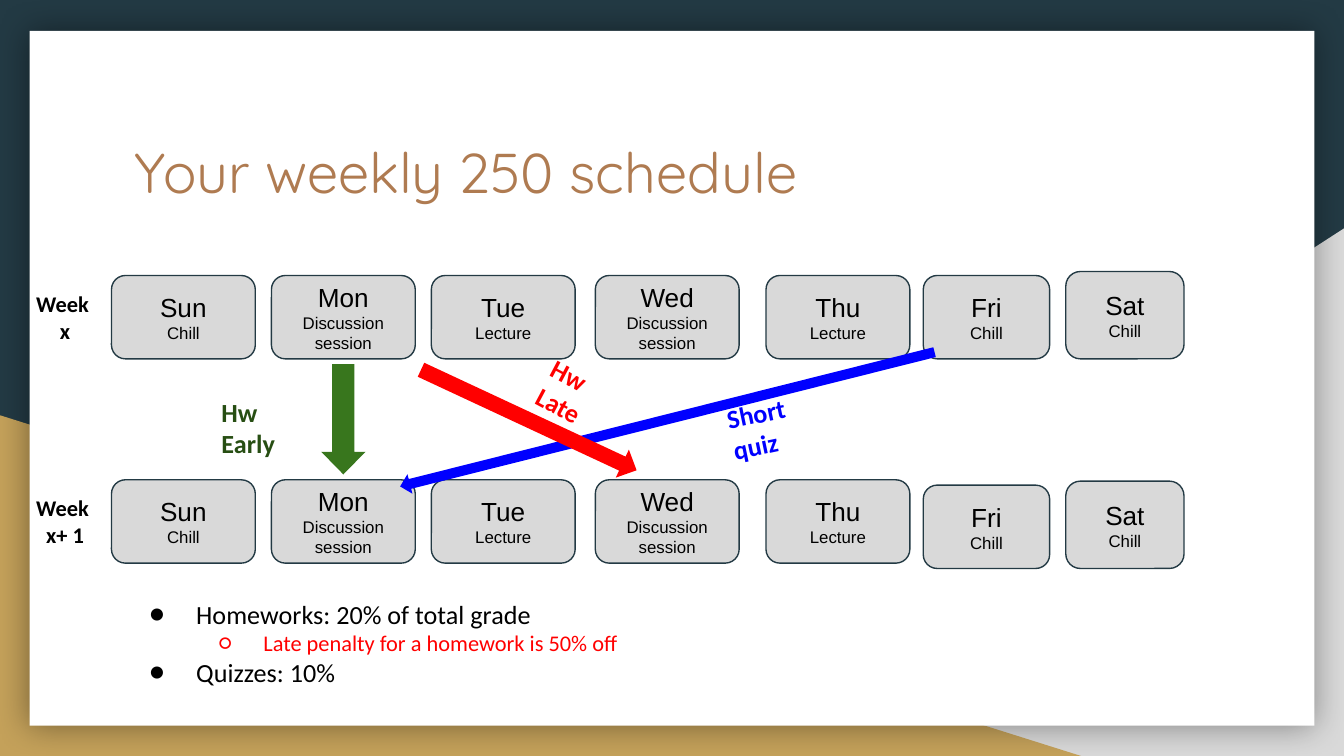
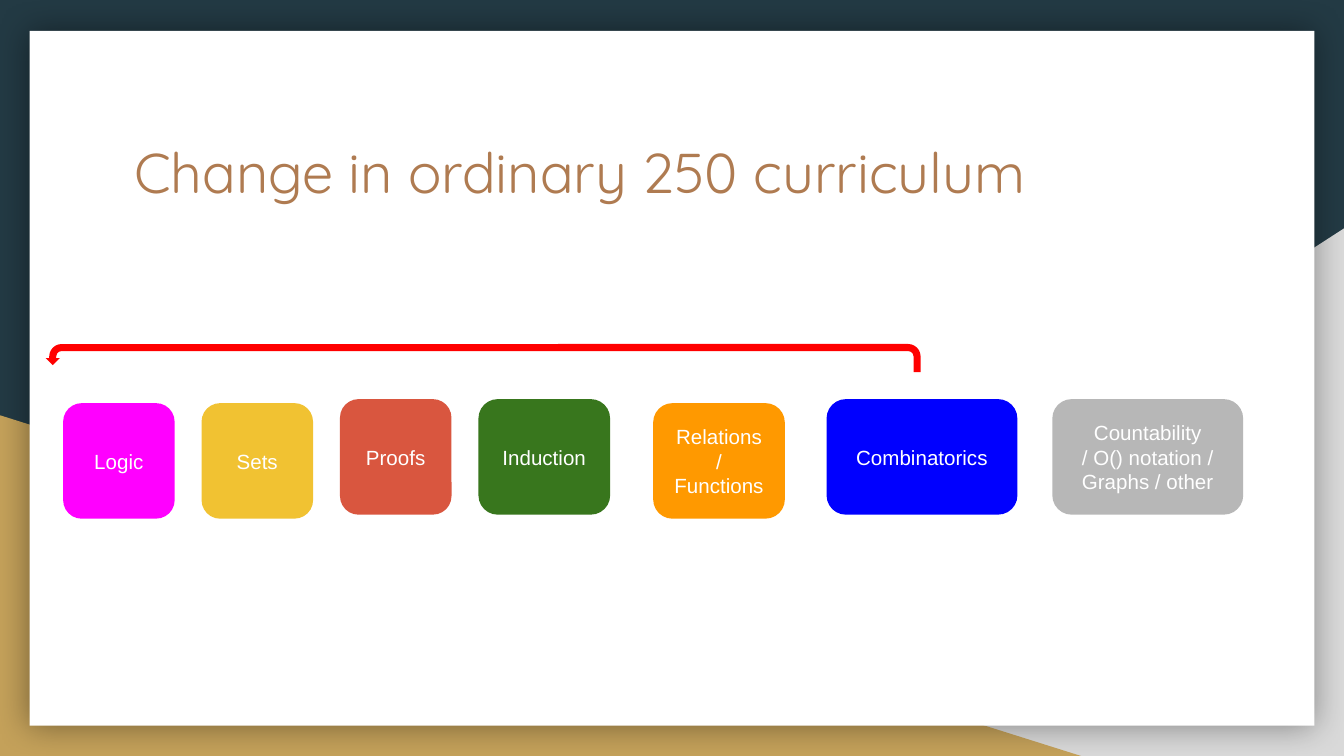
from lxml.etree import SubElement
from pptx import Presentation
from pptx.dml.color import RGBColor
from pptx.enum.shapes import MSO_SHAPE
from pptx.enum.text import MSO_ANCHOR, MSO_AUTO_SIZE, PP_ALIGN
from pptx.oxml.ns import qn
from pptx.util import Inches, Pt

HUES = {
    "navy": "233A44", "silver": "D9D9D9", "gold": "C4A15A", "white": "FFFFFF",
    "black": "000000", "brown": "AF7B51", "green": "38761D", "forest": "274E13",
    "blue": "0000FF", "red": "FF0000", "pink": "FF00FF", "yellow": "F1C232",
    "coral": "D9563F", "orange": "FF9900", "grey": "B7B7B7",
}
RGB = {name: RGBColor.from_string(code) for name, code in HUES.items()}


def draw(slide, kind, box, fill, line=None, flip=False, turn=0, adjust=()):
    """Add a flat preset shape; box is left, top, width, height in inches."""
    shape = slide.shapes.add_shape(kind, *map(Inches, box))
    shape.shadow.inherit = False
    shape.fill.solid()
    shape.fill.fore_color.rgb = RGB[fill]
    if line:
        shape.line.color.rgb = RGB[line]
        shape.line.width = Pt(0.75)
    else:
        shape.line.fill.background()
    if flip:
        shape.element.spPr.find(qn("a:xfrm")).set("flipH", "1")
    shape.rotation = turn
    for i, value in enumerate(adjust):
        shape.adjustments[i] = value
    return shape


def write(shape, text, face, sizes, color, bold=False, align=PP_ALIGN.LEFT,
          anchor=MSO_ANCHOR.TOP):
    """Fill a shape with text; the last size serves all further paragraphs."""
    frame = shape.text_frame
    frame.text = text
    frame.word_wrap = True
    frame.auto_size = MSO_AUTO_SIZE.NONE
    frame.vertical_anchor = anchor
    frame.margin_left = frame.margin_right = Inches(0.1)
    frame.margin_top = frame.margin_bottom = Inches(0.1)
    for i, para in enumerate(frame.paragraphs):
        para.alignment = align
        para.space_before = Pt(0)
        for run in para.runs:
            run.font.name = face
            run.font.size = Pt(sizes[min(i, len(sizes) - 1)])
            run.font.bold = bold
            run.font.color.rgb = RGB[color]


deck = Presentation()
deck.slide_width, deck.slide_height = Inches(10), Inches(10 * 9 / 16)
week = deck.slides.add_slide(deck.slide_layouts[1])
topics = deck.slides.add_slide(deck.slide_layouts[5])

# Shared backdrop, moved to the master
master = deck.slide_master
master.background.fill.solid()
master.background.fill.fore_color.rgb = RGB["navy"]
right = draw(week, MSO_SHAPE.RIGHT_TRIANGLE, (3.92, 1.7, 6.08, 3.93), "silver", flip=True)
left = draw(week, MSO_SHAPE.RIGHT_TRIANGLE, (0, 3.09, 8.06, 2.54), "gold")
card = draw(week, MSO_SHAPE.RECTANGLE, (0.22, 0.23, 9.56, 5.17), "white")
glow = SubElement(card.element.spPr.find(qn("a:effectLst")), qn("a:outerShdw"),
                  blurRad=str(Pt(18)), dist="0", dir="0", rotWithShape="0")
shade = SubElement(glow, qn("a:srgbClr"), val=HUES["black"])
SubElement(shade, qn("a:alpha"), val="40000")
for i, shape in enumerate((right, left, card)):
    master.shapes.element.insert(2 + i, shape.element)

# Titles
for slide, text in ((week, "Your weekly 250 schedule"),
                    (topics, "Change in ordinary 250 curriculum")):
    title = slide.shapes.title
    title.left, title.top, title.width, title.height = map(Inches, (0.9, 0.92, 8.21, 1.04))
    write(title, text, "Quicksand", [30], "brown")

# Weekly schedule: day, event, left, width
days = [
    ("Sun", "Chill", 0.83, 1.07),
    ("Mon", "Discussion session", 2.02, 1.07),
    ("Tue", "Lecture", 3.21, 1.07),
    ("Wed", "Discussion session", 4.43, 1.07),
    ("Thu", "Lecture", 5.7, 1.07),
    ("Fri", "Chill", 6.87, 0.94),
    ("Sat", "Chill", 7.93, 0.88),
]
for label, top, late in (("Week\n x", 2.05, 2.05), ("Week\n x+ 1", 3.57, 3.61)):
    for day, event, x, wide in days:
        y, high = (late if day == "Fri" else top), 0.62
        if day == "Sat":
            y, high = late - 0.03, 0.65
        box = draw(week, MSO_SHAPE.ROUNDED_RECTANGLE, (x, y, wide, high), "silver", "navy")
        write(box, f"{day}\n{event}", "Arial", [14, 9], "black",
              align=PP_ALIGN.CENTER, anchor=MSO_ANCHOR.MIDDLE)
    tag = week.shapes.add_textbox(*map(Inches, (0.12, top + 0.01, 0.69, 0.61)))
    write(tag, label, "Calibri", [12], "black", bold=True, align=PP_ALIGN.CENTER)

for box, turn, head, color in (
    ((2.39, 2.71, 0.33, 0.82), 0, 0.51, "green"),
    ((4.89, 1.07, 0.15, 4.1), 75.9, 0.5, "blue"),
    ((3.82, 2.24, 0.23, 1.77), 295, 0.51, "red"),
):
    draw(week, MSO_SHAPE.DOWN_ARROW, box, color, turn=turn, adjust=(0.5, head))

for text, x, y, wide, turn, color in (
    ("Hw Early", 1.55, 2.85, 0.6, 0, "forest"),
    ("Hw Late", 3.94, 2.59, 0.6, 28, "red"),
    ("Short quiz", 5.33, 2.85, 0.69, 348.1, "blue"),
):
    note = week.shapes.add_textbox(*map(Inches, (x, y, wide, 0.67)))
    note.rotation = turn
    write(note, text, "Calibri", [14], color, bold=True)

# Grading list
body = week.placeholders[1]
body.left, body.top, body.width, body.height = map(Inches, (0.86, 4.35, 4.84, 0.88))
grades = [
    ("Homeworks: 20% of total grade", 0),
    ("Late penalty for a homework is 50% off", 1),
    ("Quizzes: 10%", 0),
]
write(body, "\n".join(text for text, _ in grades), "Calibri", [14, 12, 14], "black")
for para, (_, level) in zip(body.text_frame.paragraphs, grades):
    mark, color, hang = (("●", "black", 0.35), ("○", "red", 0.33))[level]
    para.level = level
    props = para._p.get_or_add_pPr()
    props.set("marL", str(Inches(0.5 + 0.5 * level)))
    props.set("indent", str(-Inches(hang)))
    tint = SubElement(props, qn("a:buClr"))
    SubElement(tint, qn("a:srgbClr"), val=HUES[color])
    SubElement(props, qn("a:buFont"), typeface="Calibri")
    SubElement(props, qn("a:buChar"), char=mark)
    para.runs[0].font.color.rgb = RGB[color]

# Curriculum: topic, left, top, width, fill
for text, x, y, wide, color in (
    ("Logic", 0.47, 3, 0.83, "pink"),
    ("Sets", 1.5, 3, 0.83, "yellow"),
    ("Proofs", 2.53, 2.97, 0.83, "coral"),
    ("Induction", 3.56, 2.97, 0.98, "green"),
    ("Relations / Functions", 4.86, 3, 0.98, "orange"),
    ("Combinatorics", 6.15, 2.97, 1.42, "blue"),
    ("Countability\n/ O() notation / Graphs / other", 7.83, 2.97, 1.42, "grey"),
):
    box = draw(topics, MSO_SHAPE.ROUNDED_RECTANGLE, (x, y, wide, 0.86), color)
    write(box, text, "Arial", [11], "white", align=PP_ALIGN.CENTER, anchor=MSO_ANCHOR.MIDDLE)
draw(topics, MSO_SHAPE.U_TURN_ARROW, (0.34, 2.56, 6.51, 0.21), "red", flip=True,
     adjust=(0.25, 0.25, 0.25, 0.44, 0.75))

deck.save("out.pptx")
